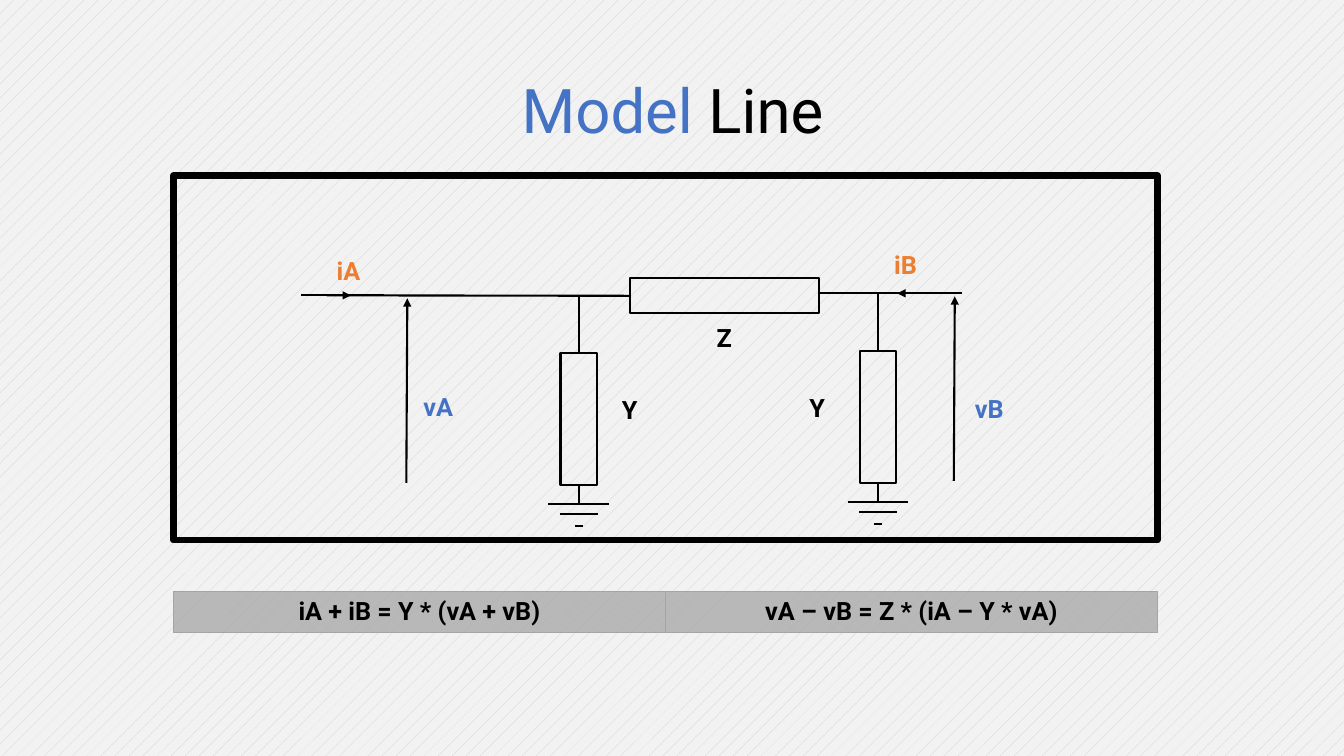
"""Build the Model Line slide: a pi circuit with its two equations."""
from dataclasses import dataclass
from typing import Any, Optional

from lxml.etree import SubElement
from pptx import Presentation
from pptx.dml.color import RGBColor
from pptx.enum.dml import MSO_PATTERN
from pptx.enum.shapes import MSO_CONNECTOR, MSO_SHAPE
from pptx.enum.text import MSO_ANCHOR, MSO_AUTO_SIZE, PP_ALIGN
from pptx.oxml.ns import qn
from pptx.util import Inches, Pt

FONT = "Roboto"
BLACK, BLUE, ORANGE, GREY = "000000", "4472C4", "ED7D31", "A5A5A5"
TOP, LEFT, BOTTOM = 0, 1, 2


@dataclass
class Box:
    left: float
    top: float
    width: float
    height: float
    weight: float = 1.5


@dataclass
class Wire:
    x1: float
    y1: float
    x2: float
    y2: float
    arrow: bool = False


@dataclass
class Label:
    text: str
    left: float
    top: float
    color: str = BLACK


@dataclass
class Branch:
    x: float
    wire_y: float


FRAME = Box(1.72, 1.74, 9.76, 3.62, 4.5)
IMPEDANCE = Box(6.25, 2.76, 1.87, 0.35)
BRANCHES = [Branch(5.74, 2.93), Branch(8.71, 2.91)]
EARTH_BARS = [(2.07, 0.3), (2.17, 0.19), (2.29, 0.04)]
WIRES = [
    Wire(2.99, 2.93, 3.81, 2.93),
    Wire(8.11, 2.91, 9.54, 2.91),
    Wire(9.36, 2.91, 8.9, 2.91, True),
    Wire(3.29, 2.93, 3.48, 2.93, True),
    Wire(4.03, 4.79, 4.04, 2.96, True),
    Wire(9.46, 4.77, 9.47, 2.94, True),
]
LABELS = [
    Label("vB", 9.57, 3.85, BLUE),
    Label("vA", 4.1, 3.83, BLUE),
    Label("iA", 3.24, 2.48, ORANGE),
    Label("iB", 8.77, 2.42, ORANGE),
    Label("Z", 7.01, 3.15),
    Label("Y", 6.07, 3.86),
    Label("Y", 7.93, 3.84),
]
EQUATIONS = ["iA + iB = Y * (vA + vB)", "vA – vB = Z * (iA – Y * vA)"]


def rgb(color: str) -> RGBColor:
    return RGBColor.from_string(color)


def add_text(paragraph: Any, text: str, *, size: float = 18, color: str = BLACK,
             bold: bool = True, align: Optional[PP_ALIGN] = None) -> None:
    run = paragraph.add_run()
    run.text = text
    run.font.name, run.font.size, run.font.bold = FONT, Pt(size), bold
    run.font.color.rgb = rgb(color)
    if align is not None:
        paragraph.alignment = align


def draw_box(slide: Any, box: Box) -> Any:
    shape = slide.shapes.add_shape(MSO_SHAPE.RECTANGLE, Inches(box.left), Inches(box.top),
                                   Inches(box.width), Inches(box.height))
    shape.shadow.inherit = False
    shape.fill.background()
    shape.line.color.rgb = rgb(BLACK)
    shape.line.width = Pt(box.weight)
    return shape


def draw_wire(slide: Any, wire: Wire) -> Any:
    connector = slide.shapes.add_connector(
        MSO_CONNECTOR.STRAIGHT, Inches(wire.x1), Inches(wire.y1), Inches(wire.x2), Inches(wire.y2))
    connector.line.color.rgb = rgb(BLACK)
    connector.line.width = Pt(1.5)
    if wire.arrow:
        SubElement(connector.line._get_or_add_ln(), qn("a:tailEnd"), type="triangle")
    SubElement(connector._element.spPr, qn("a:effectLst"))
    return connector


def draw_branch(slide: Any, branch: Branch) -> None:
    x, y = branch.x, branch.wire_y
    admittance = draw_box(slide, Box(x - 0.18, y + 0.57, 0.36, 1.31))
    earth_y = y + EARTH_BARS[0][0]
    draw_wire(slide, Wire(x, y, x, y + 0.57)).end_connect(admittance, TOP)
    draw_wire(slide, Wire(x, y + 1.88, x, earth_y)).begin_connect(admittance, BOTTOM)
    for drop, half in EARTH_BARS:
        draw_wire(slide, Wire(x - half, y + drop, x + half, y + drop))


def draw_label(slide: Any, label: Label) -> None:
    text_box = slide.shapes.add_textbox(Inches(label.left), Inches(label.top),
                                        Inches(0.62), Inches(0.4))
    text_box.text_frame.word_wrap = True
    add_text(text_box.text_frame.paragraphs[0], label.text, color=label.color)


def format_title(title: Any) -> None:
    title.left, title.top, title.width, title.height = map(Inches, (0.92, 0.4, 11.5, 1.45))
    frame = title.text_frame
    frame.auto_size = MSO_AUTO_SIZE.NONE
    frame.vertical_anchor = MSO_ANCHOR.MIDDLE
    paragraph = frame.paragraphs[0]
    paragraph.line_spacing = 0.9
    for text, color in (("Model ", BLUE), ("Line", BLACK)):
        add_text(paragraph, text, size=44, color=color, bold=False, align=PP_ALIGN.CENTER)


def format_cell(cell: Any, text: str) -> None:
    add_text(cell.text_frame.paragraphs[0], text, align=PP_ALIGN.CENTER)
    properties = cell._tc.get_or_add_tcPr()
    for side in ("lnL", "lnR", "lnT", "lnB"):
        border = SubElement(properties, qn(f"a:{side}"), w=str(Pt(0.5)))
        SubElement(SubElement(border, qn("a:solidFill")), qn("a:srgbClr"), val=GREY)
    cell.fill.solid()
    cell.fill.fore_color.rgb = rgb(GREY)
    fill_color = properties.find(qn("a:solidFill")).find(qn("a:srgbClr"))
    SubElement(fill_color, qn("a:alpha"), val="75000")


def draw_equations(slide: Any) -> None:
    table = slide.shapes.add_table(1, len(EQUATIONS), Inches(FRAME.left), Inches(5.87),
                                   Inches(FRAME.width), Inches(0.4)).table
    table.first_row = table.horz_banding = False
    for column, equation in enumerate(EQUATIONS):
        format_cell(table.cell(0, column), equation)


def main() -> None:
    presentation = Presentation()
    presentation.slide_width, presentation.slide_height = Inches(13.33), Inches(7.5)
    slide = presentation.slides.add_slide(presentation.slide_layouts[5])
    background = slide.background.fill
    background.patterned()
    background.pattern = MSO_PATTERN.PERCENT_5
    background.fore_color.rgb = rgb("D0CECE")
    background.back_color.rgb = rgb("F2F2F2")
    format_title(slide.shapes.title)
    draw_box(slide, FRAME)
    impedance = draw_box(slide, IMPEDANCE)
    draw_wire(slide, Wire(3.24, 2.93, 6.25, 2.93)).end_connect(impedance, LEFT)
    for wire in WIRES:
        draw_wire(slide, wire)
    for branch in BRANCHES:
        draw_branch(slide, branch)
    for label in LABELS:
        draw_label(slide, label)
    draw_equations(slide)
    presentation.save("out.pptx")


if __name__ == "__main__":
    main()
